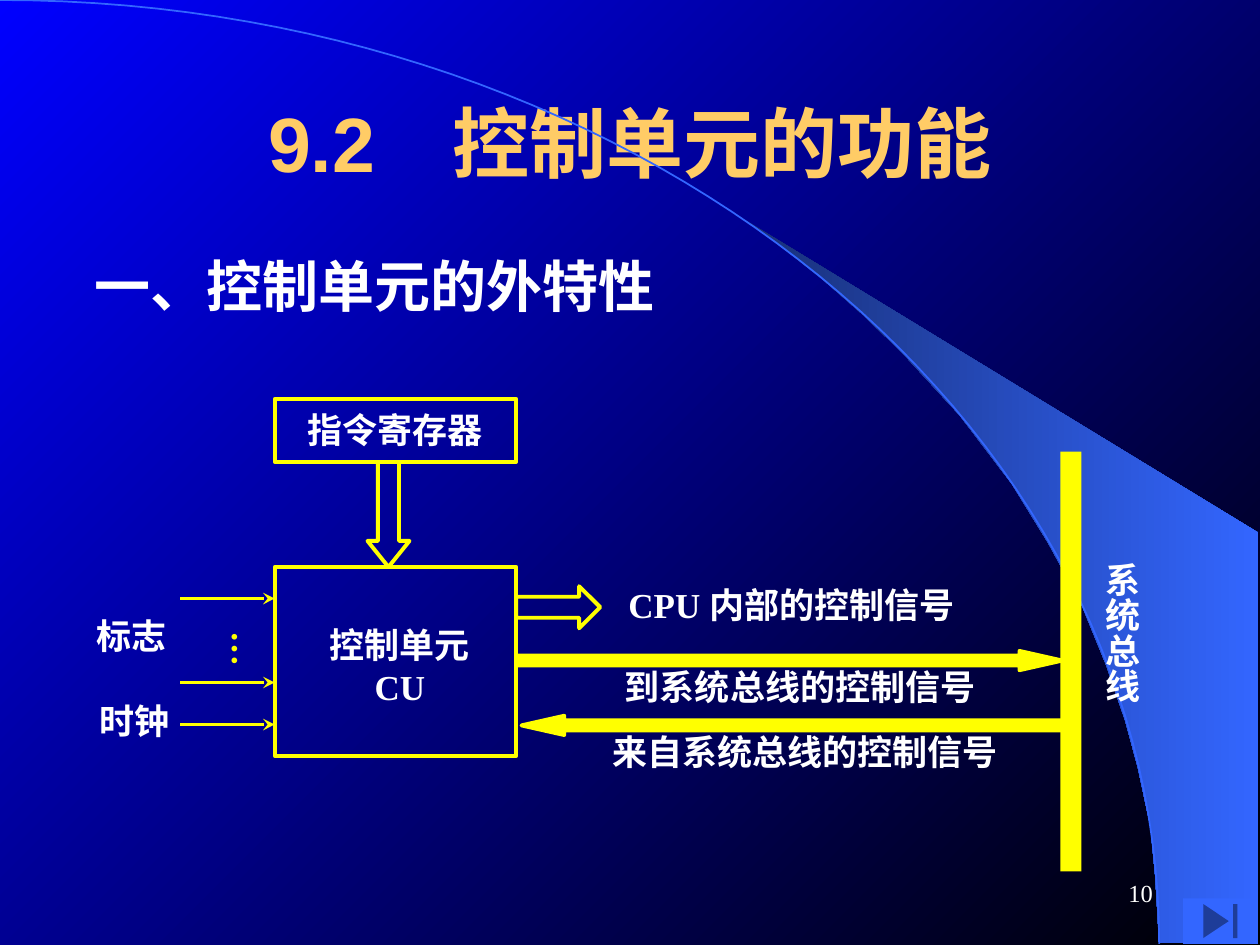
from lxml import etree
from pptx import Presentation
from pptx.dml.color import RGBColor
from pptx.enum.shapes import MSO_CONNECTOR, MSO_SHAPE as Preset
from pptx.enum.text import MSO_ANCHOR as Anchor, MSO_AUTO_SIZE as AutoSize, PP_ALIGN as Align
from pptx.oxml.ns import qn
from pptx.util import Pt

YELLOW, WHITE, BLUE, GOLD = "FFFF00", "FFFFFF", "3366FF", "FFCC66"


def color(value):
    return RGBColor.from_string(value)


def place(item, left, top, width, height):
    item.left, item.top, item.width, item.height = map(Pt, (left, top, width, height))


def cubic(start, first, second, end, steps=60):
    """Points along a cubic curve."""
    for step in range(steps + 1):
        t = step / steps
        weights = ((1 - t) ** 3, 3 * t * (1 - t) ** 2, 3 * t * t * (1 - t), t ** 3)
        yield tuple(sum(w * point[axis] for w, point in zip(weights, (start, first, second, end)))
                    for axis in (0, 1))


class Slide:
    serif, sans = "Times New Roman", "Arial"
    stroke, label_size = 2.25, 20

    def __init__(self, deck):
        self.page = deck.slides.add_slide(deck.slide_layouts[1])
        self.shapes = self.page.shapes

    def gradient(self, fill, start, end, angle):
        fill.gradient()
        fill.gradient_angle = angle
        for stop, value in zip(fill.gradient_stops, (start, end)):
            stop.color.rgb = color(value)

    def set_text(self, box, lines, size, ink, font=serif, bold=True, align=Align.LEFT,
                 anchor=Anchor.TOP, wrap=False):
        frame = box.text_frame
        frame.text = "\n".join(lines)
        frame.auto_size, frame.word_wrap = AutoSize.NONE, wrap
        frame.vertical_anchor = anchor
        for para in frame.paragraphs:
            para.alignment = align
            para.space_before = Pt(0)
            para.font.name, para.font.size, para.font.bold = font, Pt(size), bold
            para.font.color.rgb = color(ink)
        return frame

    def title(self, text, *area):
        box = self.shapes.title
        place(box, *area)
        self.set_text(box, [text], 44, GOLD, self.sans, align=Align.CENTER,
                      anchor=Anchor.MIDDLE, wrap=True)

    def heading(self, text, *area):
        box = self.page.placeholders[1]
        place(box, *area)
        frame = self.set_text(box, [text], 32, WHITE, anchor=Anchor.MIDDLE)
        frame.margin_left = frame.margin_right = frame.margin_top = frame.margin_bottom = 0
        props = frame.paragraphs[0]._p.get_or_add_pPr()
        props.set("marL", "0")
        props.set("indent", "0")
        bullet = etree.Element(qn("a:buNone"))
        props.insert_element_before(bullet, "a:tabLst", "a:defRPr", "a:extLst")

    def label(self, lines, *area, ink=WHITE, vertical=False, **style):
        box = self.shapes.add_textbox(*map(Pt, area))
        style.setdefault("size", self.label_size)
        frame = self.set_text(box, lines, ink=ink, **style)
        if vertical:
            frame._txBody.bodyPr.set("vert", "eaVert")
            frame.margin_left = frame.margin_right = Pt(3.6)
            frame.margin_top = frame.margin_bottom = Pt(7.2)

    def paint(self, shape, fill, line, weight):
        shape.shadow.inherit = False
        if fill:
            shape.fill.solid()
            shape.fill.fore_color.rgb = color(fill)
        else:
            shape.fill.background()
        if line:
            shape.line.color.rgb = color(line)
            shape.line.width = Pt(weight)
        else:
            shape.line.fill.background()

    def preset(self, kind, *area, fill=None, line=YELLOW, adjust=(), turn=0):
        shape = self.shapes.add_shape(kind, *map(Pt, area))
        for index, value in enumerate(adjust):
            shape.adjustments[index] = value
        shape.rotation = turn
        self.paint(shape, fill, line, self.stroke)

    def outline(self, points, closed, line=None):
        points = [(Pt(x), Pt(y)) for x, y in points]
        builder = self.shapes.build_freeform(*points[0], scale=1)
        builder.add_line_segments(points[1:], close=closed)
        shape = builder.convert_to_shape()
        self.paint(shape, None, line, 1)
        return shape

    def arrow(self, left, right, y):
        line = self.shapes.add_connector(MSO_CONNECTOR.STRAIGHT, *map(Pt, (left, y, right, y)))
        line.line.color.rgb = color(YELLOW)
        line.line.width = Pt(self.stroke)
        etree.SubElement(line.line._get_or_add_ln(), qn("a:tailEnd"), type="stealth")
        etree.SubElement(line._element.spPr, qn("a:effectLst"))


def main():
    deck = Presentation()
    deck.slide_width, deck.slide_height = Pt(720), Pt(540)
    slide = Slide(deck)

    # Backdrop: gradient, crescent and arc
    slide.gradient(slide.page.background.fill, "0000FF", "000000", 315)
    crescent = slide.outline([
        (662.4, 538.6), (719.3, 539.3), (719.3, 304.6), (424.1, 124.6), (449.3, 143.3),
        (470.2, 159.8), (493.2, 180), (515.5, 201.6), (548.6, 237.6), (578.2, 276.5),
        (599, 310.3), (617.8, 344.9), (632.2, 380.2), (643, 411.8), (650.2, 438.5),
        (657.4, 472.3), (660.2, 501.1)], closed=True)
    slide.gradient(crescent.fill, "182F76", BLUE, 0)
    slide.outline(cubic((0, 0), (365.8, 0), (662.4, 241.2), (662.4, 539.3)),
                  closed=False, line=BLUE)

    # Headings
    slide.title("9.2　控制单元的功能", 54, 36, 612, 90)
    slide.heading("一、控制单元的外特性", 54, 146, 340, 34)

    # Instruction register feeding the control unit
    slide.label(["指令寄存器"], 168.5, 229.7, 114.5, 31.5)
    slide.preset(Preset.RECTANGLE, 157, 228, 138, 36)
    slide.preset(Preset.RECTANGLE, 157, 324, 138, 108)
    slide.label(["控制单元", "CU"], 181.4, 352.8, 94.3, 55.4, align=Align.CENTER)
    slide.preset(Preset.DOWN_ARROW, 210, 264, 24, 60, adjust=(0.5, 0.62))

    # Inputs: flags and clock
    for y in (342, 390, 414):
        slide.arrow(103, 157, y)
    slide.label(["…"], 118, 353.5, 38.2, 27.4, ink=YELLOW, vertical=True)
    slide.label(["标志"], 48.2, 347.8, 54, 31.5)
    slide.label(["时钟"], 49.7, 396, 54, 31.5)

    # Control signals
    slide.preset(Preset.RIGHT_ARROW, 295, 335, 48, 24, adjust=(0.5, 0.5))
    slide.label(["CPU 内部的控制信号"], 352, 329.8, 205.2, 31.5)
    for left, top, turn in ((295, 372, 0), (298, 409, 180)):
        slide.preset(Preset.RIGHT_ARROW, left, top, 312, 11, fill=YELLOW,
                     adjust=(0.52, 2.22), turn=turn)
    slide.label(["到系统总线的控制信号"], 350, 376.6, 214.6, 31.5)
    slide.label(["来自系统总线的控制信号"], 342.7, 414, 234.7, 31.5)

    # System bus
    slide.label(["系统总线"], 618.5, 314.6, 38.2, 87.8, vertical=True)
    slide.preset(Preset.RECTANGLE, 606, 258, 12, 240, fill=YELLOW, line=None)

    # Footer: next button and page number
    slide.preset(Preset.ACTION_BUTTON_END, 676, 513.4, 42.6, 25.9, fill=BLUE, line=None)
    slide.label(["10"], 516, 492, 150, 36, size=14, bold=False, align=Align.RIGHT,
                anchor=Anchor.MIDDLE, wrap=True)
    deck.save("out.pptx")


if __name__ == "__main__":
    main()
